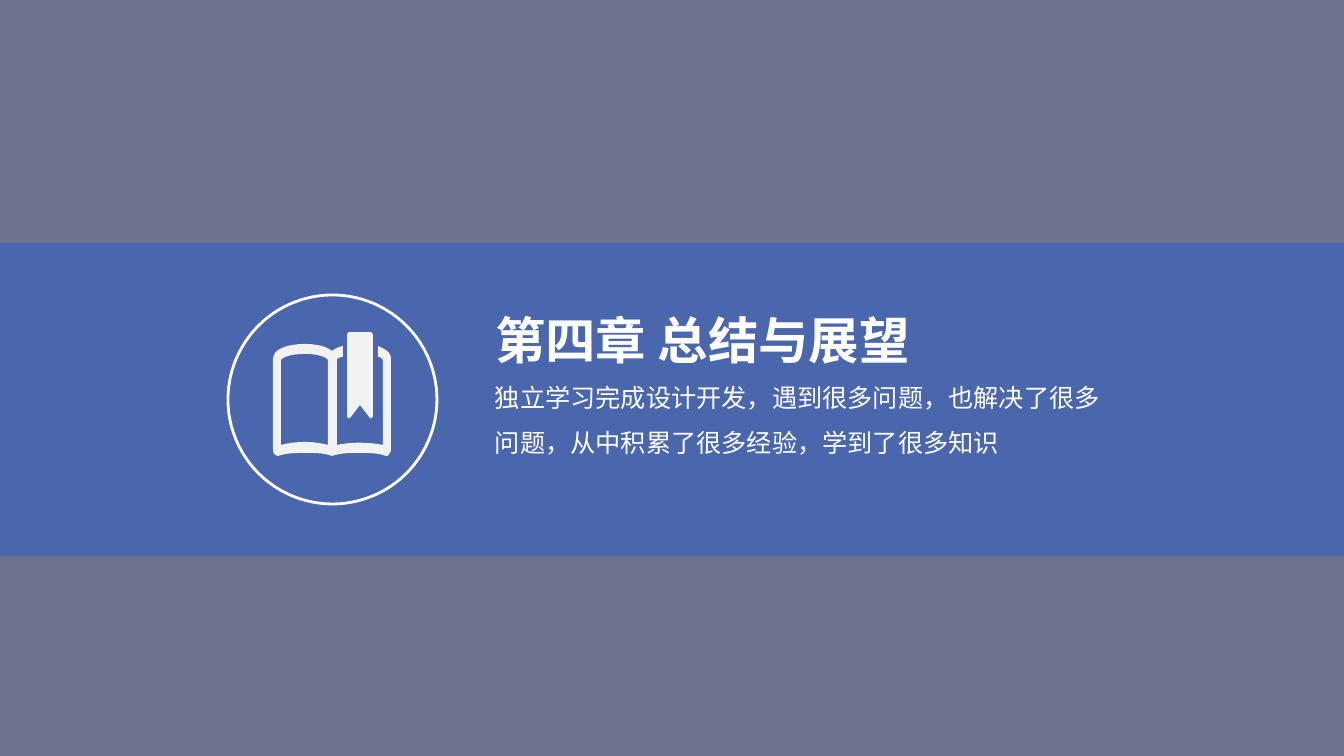
from lxml import etree
from pptx import Presentation, util as u
from pptx.dml.color import RGBColor
from pptx.enum import shapes, text
from pptx.oxml.ns import qn

PX = 914400 / 100.8
FONT = "Noto Sans CJK SC"
WHITE, BLUE, NAVY, PALE = "FFFFFF", "4A66AC", "242852", "F2F2F2"
CURVE_STEPS = 8

PAGES = [
    (105, 2), (105, 13), (108, 13, 109, 15, 110, 16), (110, 101),
    (95, 98, 78, 98, 64, 101), (64, 16), (64, 15, 66, 13, 70, 13), (70, 2),
    (65, 3, 62, 5, 59, 7), (53, 2, 42, 0, 32, 0), (17, 0, 0, 4, 0, 15),
    (0, 106), (0, 108, 1, 109, 1, 110), (3, 111, 4, 112, 5, 112),
    (14, 109, 23, 109, 32, 109), (42, 109, 51, 109, 59, 112),
    (68, 109, 77, 109, 87, 109), (96, 109, 105, 109, 113, 112),
    (115, 112, 116, 111, 116, 110), (117, 109, 118, 108, 118, 106),
    (118, 15), (118, 8, 112, 5, 105, 2),
]
LEFT_PAGE = [
    (55, 101), (47, 99, 40, 98, 32, 98), (25, 98, 15, 99, 8, 101),
    (8, 16), (10, 13, 18, 10, 32, 10), (45, 10, 53, 13, 55, 16),
]
BOOKMARK = [
    (2, 0), (24, 0), (26, 2), (26, 84), (25, 86), (23, 86),
    (13, 73), (3, 86), (1, 86), (0, 84), (0, 2),
]


def px(length):
    return u.Emu(round(length * PX))


def colour(hex_code):
    return RGBColor.from_string(hex_code)


def paint(shape, fill, line=None):
    shape.shadow.inherit = False
    shape.fill.solid()
    shape.fill.fore_color.rgb = colour(fill)
    if line:
        shape.line.color.rgb = colour(line)
        shape.line.width = u.Pt(2)
    else:
        shape.line.fill.background()
    return shape


def add_preset(slide, preset, box, fill, line=None):
    return paint(slide.shapes.add_shape(preset, *map(px, box)), fill, line)


def trace(segments):
    points = []
    for segment in segments:
        if len(segment) == 2:
            points.append(segment)
            continue
        start = points[-1]
        first, second, end = segment[:2], segment[2:4], segment[4:]
        for step in range(1, CURVE_STEPS + 1):
            t = step / CURVE_STEPS
            points.append(tuple(
                (1 - t) ** 3 * a + 3 * (1 - t) ** 2 * t * b
                + 3 * (1 - t) * t ** 2 * c + t ** 3 * d
                for a, b, c, d in zip(start, first, second, end)))
    return points


def add_outline(slide, left, top, *contours):
    builder = None
    for contour in contours:
        start, *rest = [(px(left + x), px(top + y)) for x, y in trace(contour)]
        if builder is None:
            builder = slide.shapes.build_freeform(*start)
        else:
            builder.move_to(*start)
        builder.add_line_segments(rest, close=True)
    paint(builder.convert_to_shape(), PALE)


def write(shape, box, words, size, bold):
    shape.left, shape.top, shape.width, shape.height = map(px, box)
    frame = shape.text_frame
    frame.text = words
    frame.word_wrap = True
    frame.auto_size = text.MSO_AUTO_SIZE.SHAPE_TO_FIT_TEXT
    frame.vertical_anchor = text.MSO_ANCHOR.TOP
    paragraph = frame.paragraphs[0]
    paragraph.alignment = text.PP_ALIGN.LEFT
    paragraph.line_spacing = 1.5
    font = paragraph.runs[0].font
    font.name, font.size, font.bold = FONT, u.Pt(size), bold
    font.color.rgb = colour(WHITE)
    east_asian = etree.SubElement(paragraph.runs[0].font._element, qn("a:ea"))
    east_asian.set("typeface", FONT)


def add_backdrop(slide, box):
    backdrop = add_preset(slide, shapes.MSO_SHAPE.RECTANGLE, box, NAVY)
    tint = backdrop.element.spPr.find(qn("a:solidFill"))[0]
    etree.SubElement(tint, qn("a:alpha")).set("val", "65000")


def add_book_badge(slide, left, top, size):
    add_preset(slide, shapes.MSO_SHAPE.OVAL, (left, top, size, size), BLUE, WHITE)
    add_outline(slide, left + 45, top + 49, PAGES, LEFT_PAGE)
    add_outline(slide, left + 119, top + 37, BOOKMARK)


def add_chapter_text(slide, left, top, width):
    title = slide.shapes.title
    title.element.getparent().append(title.element)
    write(title, (left, top, width, 102), "第四章 总结与展望", 36, True)
    summary = slide.shapes.add_textbox(0, 0, 0, 0)
    write(summary, (left, top + 88, width, 102),
          "独立学习完成设计开发，遇到很多问题，也解决了很多问题，从中积累了很多经验，学到了很多知识",
          18, False)


def add_chapter_band(slide, left, top, width, height):
    add_preset(slide, shapes.MSO_SHAPE.RECTANGLE, (left, top, width, height), BLUE)
    add_book_badge(slide, left + 228, top + 52, 209)
    add_chapter_text(slide, left + 485, top + 31, 629)


def main():
    deck = Presentation()
    deck.slide_width, deck.slide_height = px(1344), px(756)
    slide = deck.slides.add_slide(deck.slide_layouts[5])
    add_backdrop(slide, (0, 0, 1344, 756))
    add_chapter_band(slide, 0, 243, 1344, 313)
    deck.save("out.pptx")


if __name__ == "__main__":
    main()
